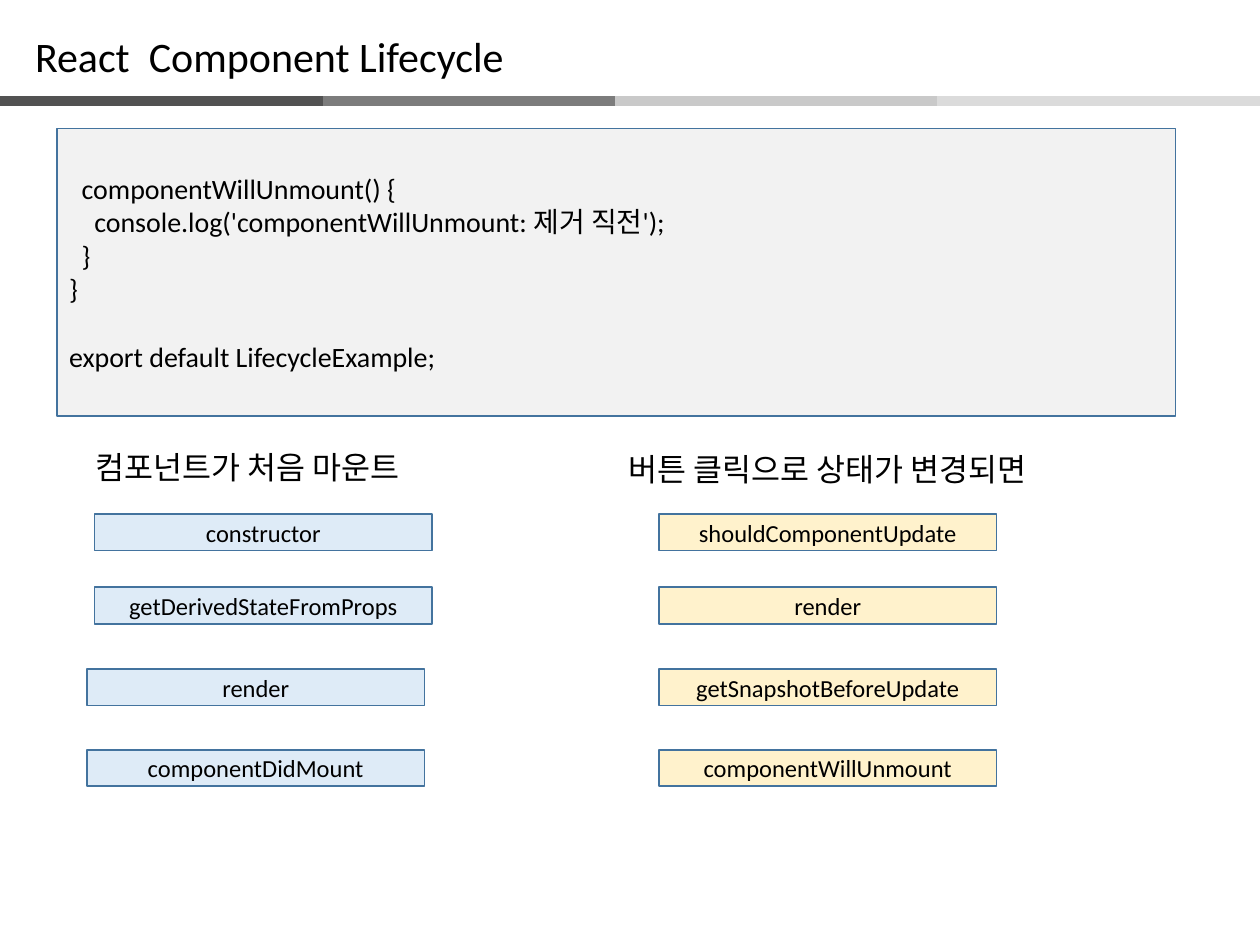
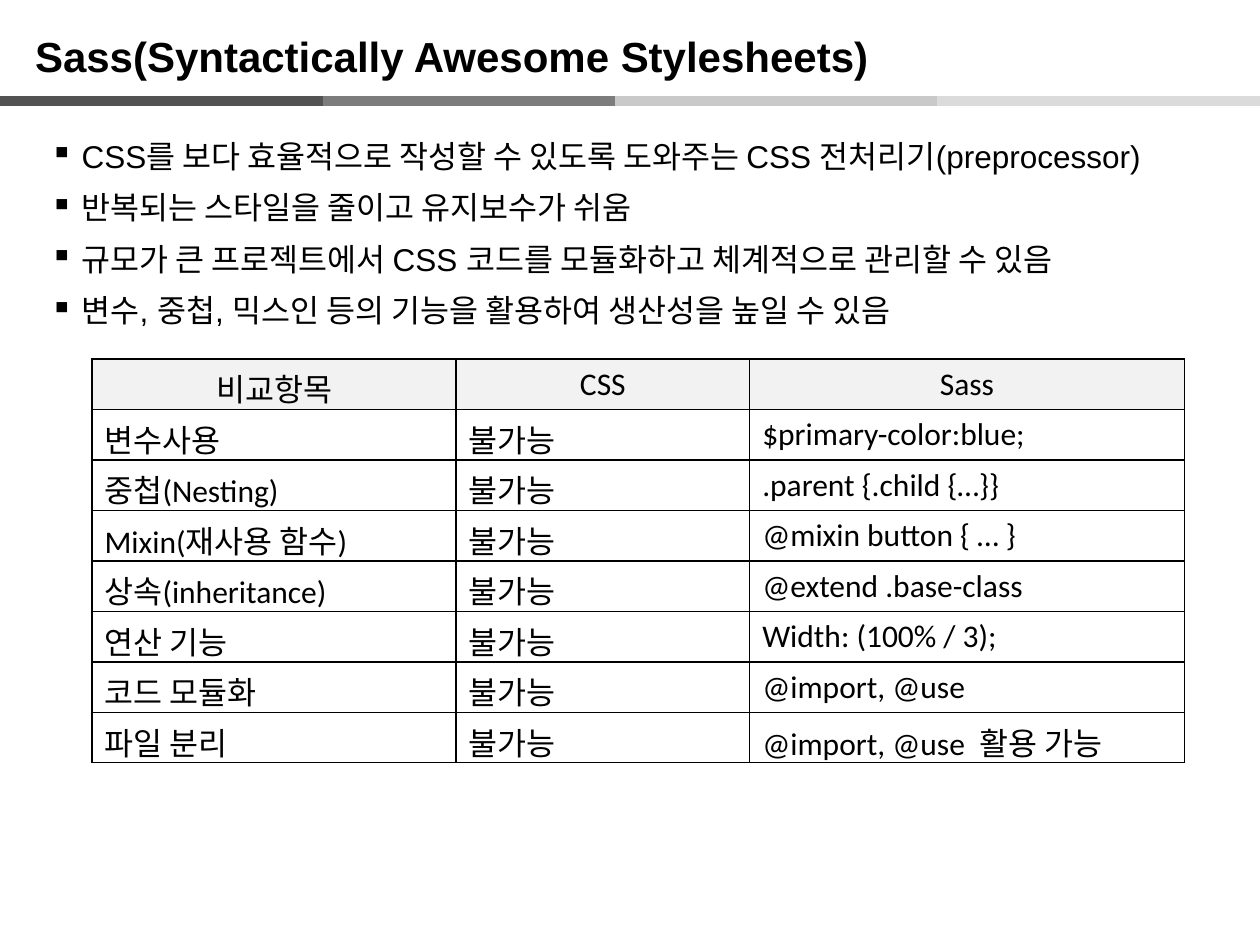
from lxml import etree
from pptx import Presentation
from pptx.dml.color import RGBColor as Rgb
from pptx.enum.shapes import MSO_CONNECTOR as Link, MSO_SHAPE as Shape
from pptx.enum.text import MSO_ANCHOR as Anchor, PP_ALIGN as Align
from pptx.oxml import parse_xml
from pptx.oxml.ns import nsdecls, qn
from pptx.util import Inches, Pt

HUES = {
    "ink": "000000", "edge": "43739E", "pale": "F2F2F2",
    "mount": "DEEBF7", "update": "FFF2CC",
}
BANDS = [(2.32, "7C7C7C"), (4.88, "C9C9C9"), (7.44, "DBDBDB"), (0, "525252")]
CODE = [
    "  componentWillUnmount() {",
    "    console.log('componentWillUnmount: 제거 직전');",
    "  }",
    "}",
    "export default LifecycleExample;",
]
MOUNT = [
    (0.06, "constructor"), (0.06, "getDerivedStateFromProps"),
    (0, "render"), (0, "componentDidMount"),
]
UPDATE = [
    (0, "shouldComponentUpdate"), (0, "render"),
    (0, "getSnapshotBeforeUpdate"), (0, "componentWillUnmount"),
]
STEPS = [0, 0.58, 1.23, 1.87]
POINTS = [
    "CSS를 보다 효율적으로 작성할 수 있도록 도와주는 CSS 전처리기(preprocessor)",
    "반복되는 스타일을 줄이고 유지보수가 쉬움",
    "규모가 큰 프로젝트에서 CSS 코드를 모듈화하고 체계적으로 관리할 수 있음",
    "변수, 중첩, 믹스인 등의 기능을 활용하여 생산성을 높일 수 있음",
]
HEAD = ("비교항목", "CSS", "Sass")
PAIRS = [
    ("변수사용", "$primary-color:blue;"),
    ("중첩(Nesting)", ".parent {.child {…}}"),
    ("Mixin(재사용 함수)", "@mixin button { … }"),
    ("상속(inheritance)", "@extend .base-class"),
    ("연산 기능", "Width: (100% / 3);"),
    ("코드 모듈화", "@import, @use"),
    ("파일 분리", "@import, @use  활용 가능"),
]
COLS = [2.89, 2.33, 3.45]


def tint(name):
    """Return the named colour."""
    return Rgb.from_string(HUES[name])


def write(para, text, size, face="Calibri", bold=False):
    """Add one styled run to a paragraph."""
    run = para.add_run()
    run.text = text
    font = run.font
    font.name, font.size, font.bold = face, Pt(size), bold
    font.color.rgb = tint("ink")


def lines(frame, texts):
    """Yield a paragraph of the frame for each text."""
    for i, text in enumerate(texts):
        yield i, frame.paragraphs[0] if i == 0 else frame.add_paragraph(), text


def label(slide, box, text, size, face="Calibri", bold=False):
    """Place a wrapped line of text in the given box."""
    frame = slide.shapes.add_textbox(*map(Inches, box)).text_frame
    frame.word_wrap = True
    write(frame.paragraphs[0], text, size, face, bold)


def panel(slide, box, hue):
    """Draw an outlined rectangle and return its text frame."""
    rect = slide.shapes.add_shape(Shape.RECTANGLE, *map(Inches, box))
    rect.shadow.inherit = False
    rect.fill.solid()
    rect.fill.fore_color.rgb = tint(hue)
    rect.line.color.rgb = tint("edge")
    rect.line.width = Pt(1)
    frame = rect.text_frame
    frame.word_wrap = True
    frame.vertical_anchor = Anchor.MIDDLE
    return frame


def start(deck, title, face, bold=False):
    """Add a blank slide with the shared grey band and title."""
    slide = deck.slides.add_slide(deck.slide_layouts[6])
    for left, hue in BANDS:
        ends = map(Inches, (left, 0.8, left + 2.56, 0.8))
        band = slide.shapes.add_connector(Link.STRAIGHT, *ends)
        band.line.color.rgb = Rgb.from_string(hue)
        band.line.width = Pt(6)
        etree.SubElement(band._element.spPr, qn("a:effectLst"))
    label(slide, (0.18, 0.19, 7.93, 0.5), title, 24, face, bold)
    return slide


def listing(slide, box):
    """Place the code panel."""
    for i, para, text in lines(panel(slide, box, "pale"), CODE):
        para.alignment = Align.LEFT
        if i == len(CODE) - 1:
            para.space_before = Pt(19.5)
        write(para, text, 16)


def stack(slide, box, hue, calls):
    """Place a column of lifecycle calls."""
    left, top, wide, high = box
    for drop, (shift, name) in zip(STEPS, calls):
        frame = panel(slide, (left + shift, top + drop, wide, high), hue)
        frame.paragraphs[0].alignment = Align.CENTER
        write(frame.paragraphs[0], name, 14)


def points(slide, box):
    """Place the bulleted list."""
    frame = slide.shapes.add_textbox(*map(Inches, box)).text_frame
    frame.word_wrap = True
    for i, para, text in lines(frame, POINTS):
        props = para._p.get_or_add_pPr()
        props.set("marL", str(Inches(0.25)))
        props.set("indent", str(-Inches(0.25)))
        etree.SubElement(props, qn("a:buChar"), char="▪")
        para.line_spacing = 0.9
        para.space_before = Pt(10 if i else 0)
        write(para, text, 18, "Arial")


def rule(cell):
    """Give a cell thin dark borders."""
    props = cell._tc.get_or_add_tcPr()
    for side in ("lnL", "lnR", "lnT", "lnB"):
        props.append(parse_xml(
            f'<a:{side} {nsdecls("a")} w="{Pt(1)}"><a:solidFill>'
            f'<a:srgbClr val="{HUES["ink"]}"/></a:solidFill></a:{side}>'))


def grid(slide, box):
    """Place the comparison table."""
    rows = [HEAD] + [(item, "불가능", code) for item, code in PAIRS]
    shape = slide.shapes.add_table(len(rows), len(COLS), *map(Inches, box))
    table = shape.table
    table.first_row = table.horz_banding = False
    for col, wide in zip(table.columns, COLS):
        col.width = Inches(wide)
    for r, row in enumerate(rows):
        table.rows[r].height = Inches(0.39)
        for c, text in enumerate(row):
            cell = table.cell(r, c)
            rule(cell)
            para = cell.text_frame.paragraphs[0]
            if r == 0:
                cell.fill.solid()
                cell.fill.fore_color.rgb = tint("pale")
                para.alignment = Align.CENTER
            else:
                cell.fill.background()
            write(para, text, 18)


def cycle(deck):
    """Build the lifecycle slide."""
    slide = start(deck, "React  Component Lifecycle", "Calibri")
    listing(slide, (0.45, 1.02, 8.88, 2.28))
    stack(slide, (0.69, 4.08, 2.68, 0.29), "mount", MOUNT)
    stack(slide, (5.23, 4.08, 2.68, 0.29), "update", UPDATE)
    label(slide, (0.66, 3.51, 3.06, 0.4), "컴포넌트가 처음 마운트", 18)
    label(slide, (4.89, 3.52, 3.74, 0.4), "버튼 클릭으로 상태가 변경되면", 18)


def sass(deck):
    """Build the Sass slide."""
    title = "Sass(Syntactically Awesome Stylesheets)"
    slide = start(deck, title, "Arial", True)
    points(slide, (0.3, 1.07, 9.37, 1.64))
    grid(slide, (0.73, 2.85, 8.67, 3.12))


def main():
    """Build and save the deck."""
    deck = Presentation()
    deck.slide_width, deck.slide_height = Inches(10), Inches(7.5)
    cycle(deck)
    sass(deck)
    deck.save("out.pptx")


if __name__ == "__main__":
    main()
